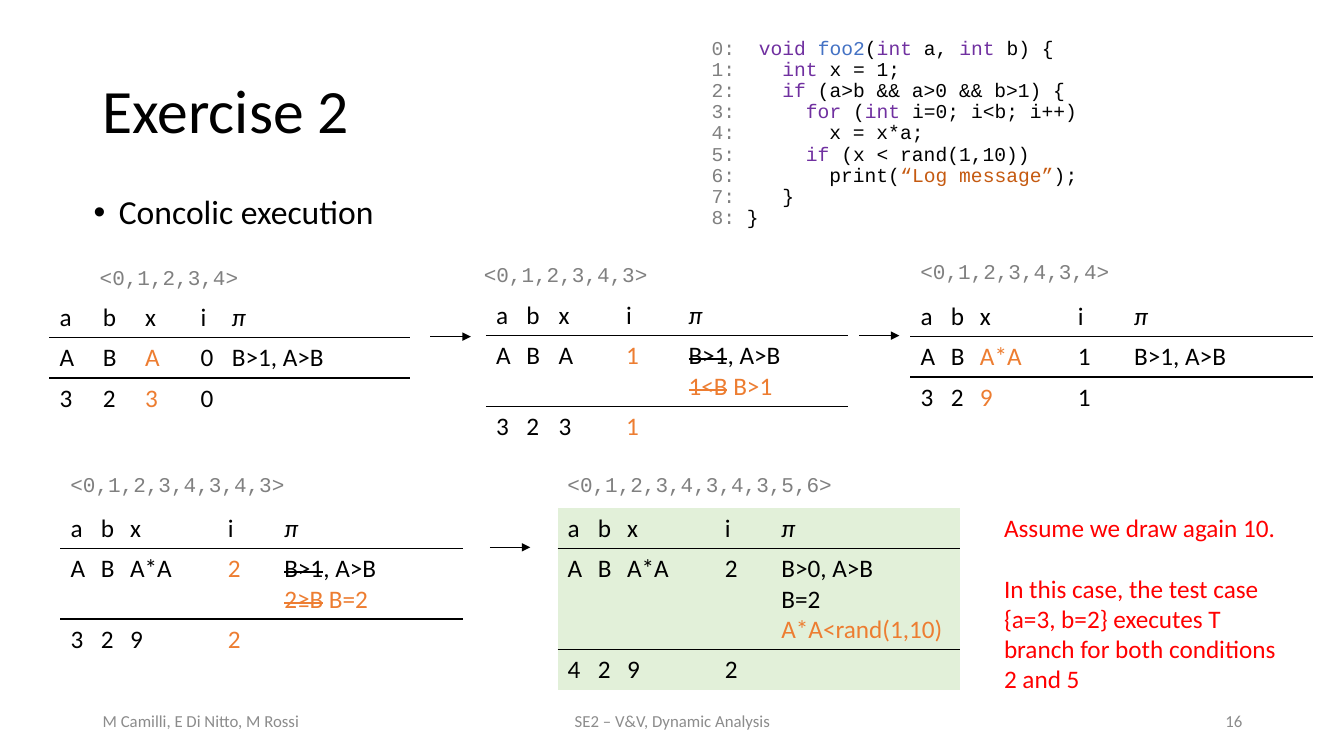
from dataclasses import dataclass
from lxml import etree
from pptx import Presentation
from pptx import util as u
from pptx.dml.color import RGBColor
from pptx.enum import shapes, text
from pptx.oxml import ns


@dataclass(frozen=True)
class Theme:
    sans: str = "Calibri"
    mono: str = "Courier New"
    ink: str = "000000"
    grey: str = "808080"
    foot: str = "8C8C8C"
    key: str = "7030A0"
    name: str = "4472C4"
    quote: str = "C55A11"
    fresh: str = "ED7D31"
    note: str = "FF0000"
    done: str = "E2F0D9"
    title: int = 44
    body: int = 24
    cell: int = 18
    label: int = 15
    code: int = 14
    small: int = 12


T = Theme()
PLAIN_GRID = "{2D5ABB26-0587-4C30-8999-92F81FD0307C}"
# One letter after "~" picks the format of the text up to the next "~".
MARKS = {
    "g": {"color": T.grey}, "k": {"color": T.key}, "f": {"color": T.name},
    "q": {"color": T.quote}, "n": {"color": T.fresh}, "i": {"italic": True},
    "s": {"strike": True}, "x": {"color": T.fresh, "strike": True},
}
CODE = [
    "  ~kvoid ~~ffoo2~(~kint~ a, ~kint~ b) {",
    "    ~kint~ x = 1;",
    "    ~kif~ (a>b && a>0 && b>1) {",
    "      ~kfor~ (~kint ~i=0; i<b; i++)",
    "        x = x*a;",
    "      ~kif~ (x < rand(1,10))",
    "        print(~q“Log message”~);",
    "    }",
    " }",
]
HEAD = ["a", "b", "x", "i", "~iπ~"]
WIDE = [0.3, 0.29, 0.97, 0.56, 1.87]
# Label, its left and top, table left and top, column widths, rows, fill
TRACES = [
    ("<0,1,2,3,4>", (0.89, 2.57), (0.49, 2.95), [0.43, 0.42, 0.55, 0.31, 1.87],
     [["A", "B", "~nA~", "0", "B>1, A>B"], ["3", "2", "~n3~", "0", ""]], None),
    ("<0,1,2,3,4,3>", (4.7, 2.54), (4.82, 2.93), [0.3, 0.32, 0.67, 0.62, 1.68],
     [["A", "B", "A", "~n1~", "~sB>1~, A>B\n~x1<B~~n B>1~"],
      ["3", "2", "3", "~n1~", ""]], None),
    ("<0,1,2,3,4,3,4>", (9.03, 2.52), (9.03, 2.94), WIDE,
     [["A", "B", "~nA*A~", "1", "B>1, A>B"], ["3", "2", "~n9~", "1", ""]], None),
    ("<0,1,2,3,4,3,4,3>", (0.6, 4.63), (0.6, 5.04), WIDE,
     [["A", "B", "A*A", "~n2~", "~sB>1~, A>B\n~x2≥B~~n B=2~"],
      ["3", "2", "9", "~n2~", ""]], None),
    ("<0,1,2,3,4,3,4,3,5,6>", (5.53, 4.63), (5.53, 5.04), WIDE,
     [["A", "B", "A*A", "2", "B>0, A>B\nB=2\n~nA*A<rand(1,10)~"],
      ["4", "2", "9", "2", ""]], T.done),
]
ARROWS = [(4.27, 3.34), (8.52, 3.33), (4.86, 5.43)]
NOTE = ["Assume we draw again 10.",
        "In this case, the test case {a=3, b=2} executes T branch "
        "for both conditions 2 and 5"]


def style(font, size, face, color=T.ink, italic=False):
    for key, val in {"size": u.Pt(size), "name": face, "italic": italic}.items():
        setattr(font, key, val)
    font.color.rgb = RGBColor.from_string(color)


def write(para, marked, size, face=T.sans, color=T.ink):
    """Fill a paragraph from marked text; a newline is a line break."""
    style(para.font, size, face, color)
    for spot, part in enumerate(marked.split("~")):
        look = {"color": color}
        if spot % 2:
            look.update(MARKS[part[0]])
            part = part[1:]
        strike = look.pop("strike", False)
        for row, line in enumerate(part.split("\n")):
            if row:
                para.add_line_break()
            if line:
                run = para.add_run()
                run.text = line
                style(run.font, size, face, **look)
                if strike:
                    run._r.get_or_add_rPr().set("strike", "sngStrike")


def place(slide, box, paras, size, face=T.sans, color=T.ink, wrap=True,
          anchor=text.MSO_ANCHOR.TOP, **form):
    """Add a text box and return its first paragraph."""
    frame = slide.shapes.add_textbox(*map(u.Inches, box)).text_frame
    frame.word_wrap = wrap
    frame.vertical_anchor = anchor
    for spot, marked in enumerate(paras):
        para = frame.add_paragraph() if spot else frame.paragraphs[0]
        for key, val in form.items():
            if spot or key != "space_before":
                setattr(para, key, val)
        write(para, marked, size, face, color)
    return frame.paragraphs[0]


def add_head(slide, left, top):
    place(slide, (left, top, 11.5, 1.45), ["Exercise 2"], T.title,
          anchor=text.MSO_ANCHOR.MIDDLE, line_spacing=0.9)
    para = place(slide, (left - 0.09, top + 1.49, 11.5, 0.64), [""], T.body,
                 line_spacing=0.9)
    props = para._p.get_or_add_pPr()
    for key, val in {"marL": 0.25, "indent": -0.25}.items():
        props.set(key, str(u.Inches(val)))
    for old in props.findall(ns.qn("a:defRPr")):
        props.remove(old)
    for tag, attr in {"buFont": {"typeface": "Arial"}, "buChar": {"char": "•"}}.items():
        etree.SubElement(props, ns.qn("a:" + tag), attr)
    write(para, "Concolic execution", T.body)


def add_code(slide, box):
    lines = [f"~g{num}:~{line}" for num, line in enumerate(CODE)]
    place(slide, box, lines, T.code, T.mono, line_spacing=0.9)


def rule(cell, side):
    """Draw a thin black border on one side of a cell."""
    line = etree.Element(ns.qn("a:" + side), w=str(u.Pt(1)))
    fill = etree.SubElement(line, ns.qn("a:solidFill"))
    etree.SubElement(fill, ns.qn("a:srgbClr"), val=T.ink)
    props = cell._tc.get_or_add_tcPr()
    props.insert(len(props.findall(ns.qn("a:lnT"))), line)


def add_trace(slide, label, spot, corner, cols, rows, fill):
    place(slide, (*spot, 0.2 + 0.125 * len(label), 0.35), [label], T.label, T.mono,
          T.grey, wrap=False)
    rows = [HEAD] + rows
    highs = [0.1 + 0.3 * (1 + row[-1].count("\n")) for row in rows]
    size = map(u.Inches, (*corner, sum(cols), sum(highs)))
    table = slide.shapes.add_table(len(rows), len(cols), *size).table
    table.first_row = table.horz_banding = False
    table._tbl.tblPr.find(ns.qn("a:tableStyleId")).text = PLAIN_GRID
    for col, width in zip(table.columns, cols):
        col.width = u.Inches(width)
    for r, row in enumerate(rows):
        table.rows[r].height = u.Inches(highs[r])
        for c, marked in enumerate(row):
            cell = table.cell(r, c)
            if fill:
                cell.fill.solid()
                cell.fill.fore_color.rgb = RGBColor.from_string(fill)
            else:
                cell.fill.background()
            if r:
                rule(cell, "lnT")
            if r < len(rows) - 1:
                rule(cell, "lnB")
            write(cell.text_frame.paragraphs[0], marked, T.cell)


def add_arrow(slide, left, top):
    ends = map(u.Inches, (left, top, left + 0.4, top))
    arrow = slide.shapes.add_connector(shapes.MSO_CONNECTOR.STRAIGHT, *ends)
    arrow.line.width = u.Pt(0.5)
    arrow.line.color.rgb = RGBColor.from_string(T.ink)
    etree.SubElement(arrow.line._get_or_add_ln(), ns.qn("a:tailEnd"), type="triangle")
    etree.SubElement(arrow._element.spPr, ns.qn("a:effectLst"))


def add_foot(slide, top):
    side = text.PP_ALIGN
    for left, width, words, align in [
            (0.92, 3, "M Camilli, E Di Nitto, M Rossi", side.LEFT),
            (4.42, 4.5, "SE2 – V&V, Dynamic Analysis", side.CENTER),
            (9.42, 3, "16", side.RIGHT)]:
        place(slide, (left, top, width, 0.4), [words], T.small, color=T.foot,
              anchor=text.MSO_ANCHOR.MIDDLE, alignment=align)


def main():
    deck = Presentation()
    deck.slide_width, deck.slide_height = u.Inches(13.33), u.Inches(7.5)
    slide = deck.slides.add_slide(deck.slide_layouts[6])
    add_head(slide, 0.92, 0.4)
    add_code(slide, (6.96, 0.33, 5.3, 2.07))
    for trace in TRACES:
        add_trace(slide, *trace)
    for spot in ARROWS:
        add_arrow(slide, *spot)
    place(slide, (9.86, 5.03, 3, 1.92), NOTE, T.cell, color=T.note,
          space_before=u.Pt(22))
    add_foot(slide, 6.95)
    deck.save("out.pptx")


if __name__ == "__main__":
    main()
